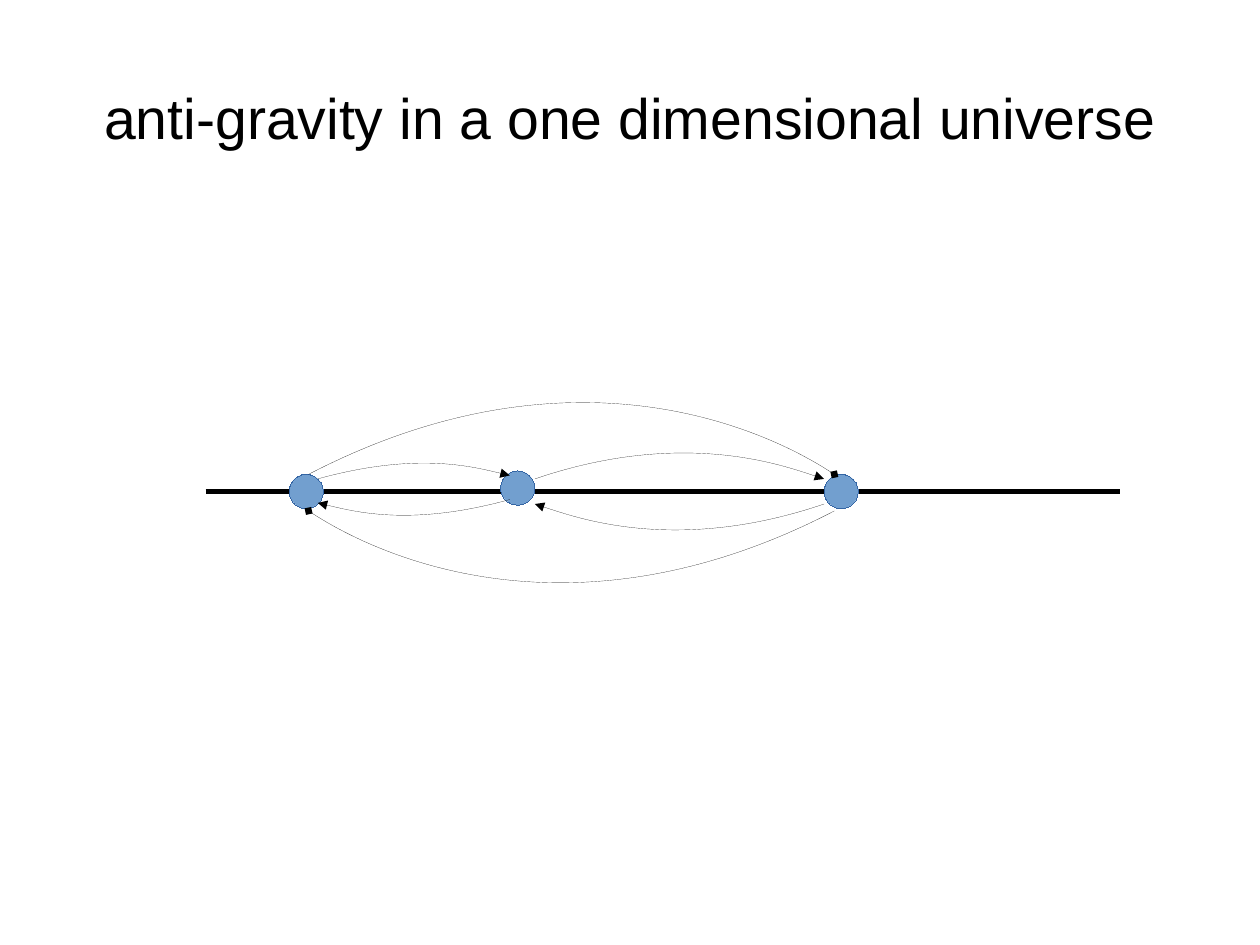
from lxml import etree
from pptx import Presentation
from pptx.dml.color import RGBColor
from pptx.enum.shapes import MSO_CONNECTOR, MSO_SHAPE
from pptx.enum.text import MSO_ANCHOR, MSO_AUTO_SIZE, PP_ALIGN
from pptx.oxml.ns import qn
from pptx.util import Cm, Inches, Pt

STRAIGHT = MSO_CONNECTOR.STRAIGHT
OVAL = MSO_SHAPE.OVAL
MIDDLE = MSO_ANCHOR.MIDDLE
NO_FIT = MSO_AUTO_SIZE.NONE
CENTER = PP_ALIGN.CENTER

WIDTH, HEIGHT = Cm(28), Cm(21)
BLACK, BLUE, DARK_BLUE = "000000", "729FCF", "3465A4"
BODY_SIZE = 0.3
CURVE_STEPS = 32

# Offsets in inches from the left end of the universe line
BODIES = [(2.73, -0.03), (0.88, 0), (5.56, 0)]
# Start, bend, end, height of the half-turn centre, arrowhead
FORCES = [
    ((0.98, -0.11), (1.88, -0.36), (2.66, -0.14), -0.02, "triangle"),
    ((0.9, -0.15), (3.5, -1.5), (5.5, -0.15), 0.01, "diamond"),
    ((2.88, -0.11), (4.2, -0.56), (5.41, -0.11), 0, "triangle"),
]


def rgb(value):
    return RGBColor.from_string(value)


def set_hairline(shape, color):
    """Write a zero width, which line.width would leave out."""
    shape.line.color.rgb = rgb(color)
    ln = shape.line._get_or_add_ln()
    ln.set("w", "0")
    return ln


def add_title(s, text, left, top, width, height):
    title = s.shapes.title
    title.left, title.top = int(left), int(top)
    title.width, title.height = int(width), int(height)
    tf = title.text_frame
    tf.text = text
    tf.word_wrap = True
    tf.auto_size = NO_FIT
    tf.vertical_anchor = MIDDLE
    tf.margin_left = tf.margin_right = tf.margin_top = tf.margin_bottom = 0
    p = tf.paragraphs[0]
    p.alignment = CENTER
    p.font.name = "Arial"
    p.font.size = Pt(36)
    p.font.color.rgb = rgb(BLACK)


def add_body(s, cx, cy):
    body = s.shapes.add_shape(
        OVAL, Inches(cx - BODY_SIZE / 2), Inches(cy - BODY_SIZE / 2),
        Inches(BODY_SIZE), Inches(BODY_SIZE))
    body.shadow.inherit = False
    body.fill.solid()
    body.fill.fore_color.rgb = rgb(BLUE)
    set_hairline(body, DARK_BLUE)


def curve_points(start, bend, end):
    """Sample a cubic curve whose second control point is its end."""
    points = []
    for i in range(CURVE_STEPS + 1):
        t = i / CURVE_STEPS
        a, b = (1 - t) ** 3, 3 * t * (1 - t) ** 2
        points.append(tuple(Inches(a * p0 + b * p1 + (1 - a - b) * p2)
                            for p0, p1, p2 in zip(start, bend, end)))
    return points


def add_force(s, start, bend, end, head):
    """Size the outline by sampled points, then make it one cubic curve."""
    points = curve_points(start, bend, end)
    builder = s.shapes.build_freeform(*points[0])
    builder.add_line_segments(points[1:], close=False)
    force = builder.convert_to_shape()
    path = force._element.spPr.find(".//" + qn("a:path"))
    for segment in path.findall(qn("a:lnTo")):
        path.remove(segment)
    curve = etree.SubElement(path, qn("a:cubicBezTo"))
    for x, y in (bend, end, end):
        etree.SubElement(curve, qn("a:pt"), x=str(Inches(x) - force.left),
                         y=str(Inches(y) - force.top))
    force.shadow.inherit = False
    force.fill.background()
    ln = set_hairline(force, BLACK)
    etree.SubElement(ln, qn("a:tailEnd"), type=head)


def add_universe(s, left, axis, length):
    line = s.shapes.add_connector(
        STRAIGHT, Inches(left), Inches(axis),
        Inches(left + length), Inches(axis))
    line.line.color.rgb = rgb(BLACK)
    line.line.width = Pt(3)
    etree.SubElement(line._element.spPr, qn("a:effectLst"))

    for dx, dy in BODIES:
        add_body(s, left + dx, axis + dy)

    for start, bend, end, mid, head in FORCES:
        action = [(left + x, axis + y) for x, y in (start, bend, end)]
        span = action[0][0] + action[2][0]
        reaction = [(span - x, 2 * (axis + mid) - y) for x, y in action]
        add_force(s, *action, head)
        add_force(s, *reaction, head)


def main():
    prs = Presentation()
    prs.slide_width, prs.slide_height = WIDTH, HEIGHT
    s = prs.slides.add_slide(prs.slide_layouts[5])
    add_title(s, "anti-gravity in a one dimensional universe",
              0.05 * WIDTH, 0.04 * HEIGHT, 0.9 * WIDTH, Inches(1.38))
    add_universe(s, 1.8, 4.3, 8)
    prs.save("out.pptx")


if __name__ == "__main__":
    main()
